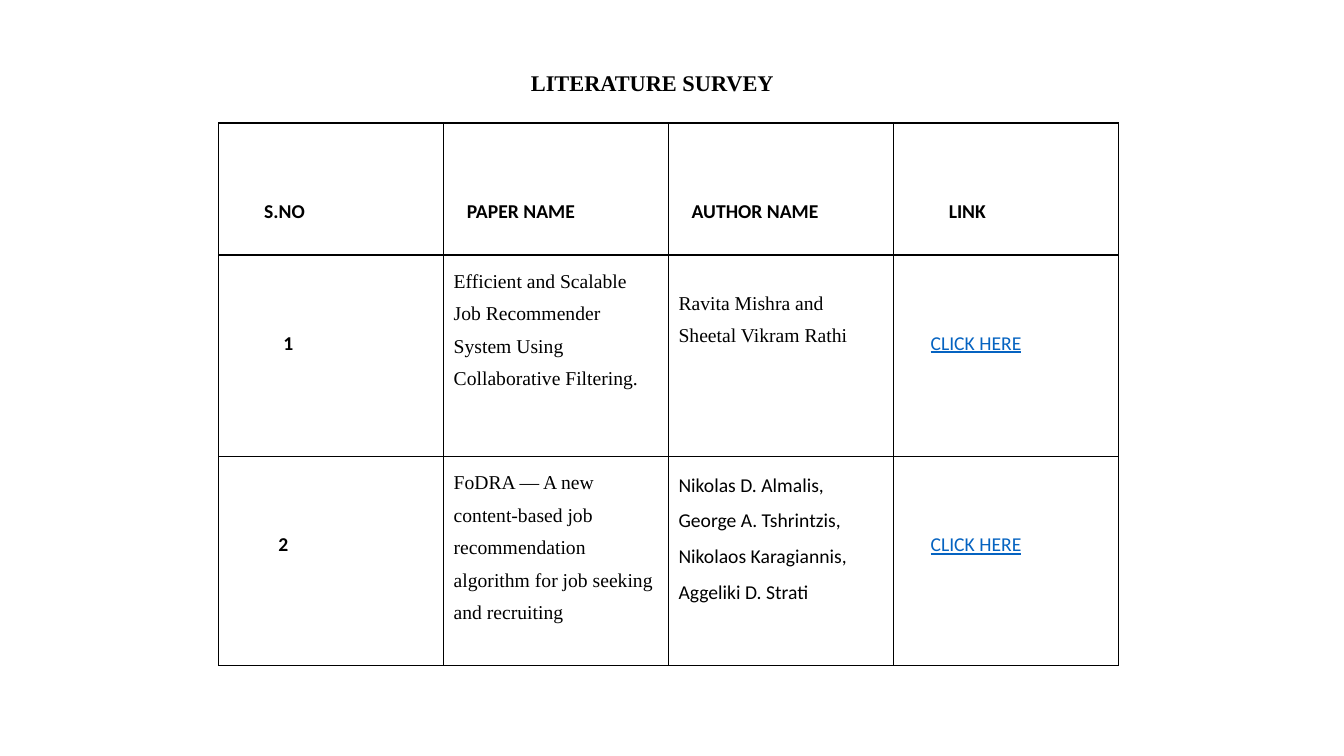
from lxml.etree import SubElement
from pptx import Presentation
from pptx.dml.color import RGBColor
from pptx.enum.text import MSO_ANCHOR, PP_ALIGN
from pptx.oxml.ns import qn
from pptx.util import Inches, Pt

BLACK, BLUE = "000000", "0563C1"
SANS, SERIF = "Calibri", "Times New Roman"
COLS = [2.23] * 4
ROWS = [1.31, 2, 2.07]
LOW, MID, TOP = 0.64, 0.27, 0.05

HEAD = dict(drop=LOW, bold=True)
LINK = dict(drop=LOW, inset=0.27, color=BLUE, line=True)
BOOK = dict(font=SERIF)
CELLS = [
    [("S.NO", dict(HEAD, inset=0.35)),
     ("PAPER NAME", dict(HEAD, inset=0.13)),
     ("AUTHOR NAME", dict(HEAD, inset=0.13)),
     ("LINK", dict(HEAD, inset=0.45))],
    [("1", dict(HEAD, inset=0.54)),
     ("Efficient and Scalable Job Recommender System Using "
      "Collaborative Filtering.", BOOK),
     ("Ravita Mishra and Sheetal Vikram Rathi", dict(BOOK, drop=MID)),
     ("CLICK HERE", LINK)],
    [("2", dict(HEAD, inset=0.49)),
     ("FoDRA — A new content-based job recommendation algorithm "
      "for job seeking and recruiting", BOOK),
     ("Nikolas D. Almalis, George A. Tshrintzis, Nikolaos Karagiannis, "
      "Aggeliki D. Strati", {}),
     ("CLICK HERE", LINK)],
]


def paint(color, tone):
    """Give a colour format its hex tone."""
    color.rgb = RGBColor.from_string(tone)


def style(part, size, font, tone, bold=False, line=False):
    """Format the runs of a paragraph."""
    for run in part.runs:
        run.font.size = Pt(size)
        run.font.name = font
        run.font.bold = bold
        run.font.underline = line
        paint(run.font.color, tone)


def frame(cell):
    """Draw a thin black line on all four sides of a cell."""
    props = cell._tc.get_or_add_tcPr()
    for side in ("lnL", "lnR", "lnT", "lnB"):
        edge = SubElement(props, qn("a:" + side), w=str(Pt(1)))
        fill = SubElement(edge, qn("a:solidFill"))
        SubElement(fill, qn("a:srgbClr"), val=BLACK)


def write(cell, text, drop=TOP, inset=0, font=SANS, color=BLACK, bold=False, line=False):
    """Fill one cell, with its text set in and down from the corner."""
    frame(cell)
    cell.fill.background()
    cell.margin_top = Inches(drop)
    cell.margin_left = Inches(0.1 + inset)
    cell.text_frame.text = text
    part = cell.text_frame.paragraphs[0]
    part.line_spacing = 1.5
    style(part, 14, font, color, bold, line)


def title(slide, left, top, width, height):
    """Place the slide title in its box."""
    shape = slide.shapes.title
    shape.left, shape.top = Inches(left), Inches(top)
    shape.width, shape.height = Inches(width), Inches(height)
    shape.text_frame.text = "LITERATURE SURVEY"
    shape.text_frame.vertical_anchor = MSO_ANCHOR.MIDDLE
    part = shape.text_frame.paragraphs[0]
    part.alignment = PP_ALIGN.CENTER
    part.line_spacing = 0.9
    style(part, 16, SERIF, BLACK, bold=True)


def survey(slide, left, top):
    """Place the table of papers from its top left corner."""
    box = [Inches(n) for n in (left, top, sum(COLS), sum(ROWS))]
    table = slide.shapes.add_table(len(ROWS), len(COLS), *box).table
    table.first_row = table.horz_banding = False
    for col, width in zip(table.columns, COLS):
        col.width = Inches(width)
    for row, height, items in zip(table.rows, ROWS, CELLS):
        row.height = Inches(height)
        for cell, (text, look) in zip(row.cells, items):
            write(cell, text, **look)


def main():
    """Build and save the slide."""
    deck = Presentation()
    deck.slide_width, deck.slide_height = Inches(13.33), Inches(7.5)
    slide = deck.slides.add_slide(deck.slide_layouts[5])
    title(slide, 0.68, 0.4, 11.58, 0.87)
    survey(slide, 2.17, 1.22)
    deck.save("out.pptx")


if __name__ == "__main__":
    main()
